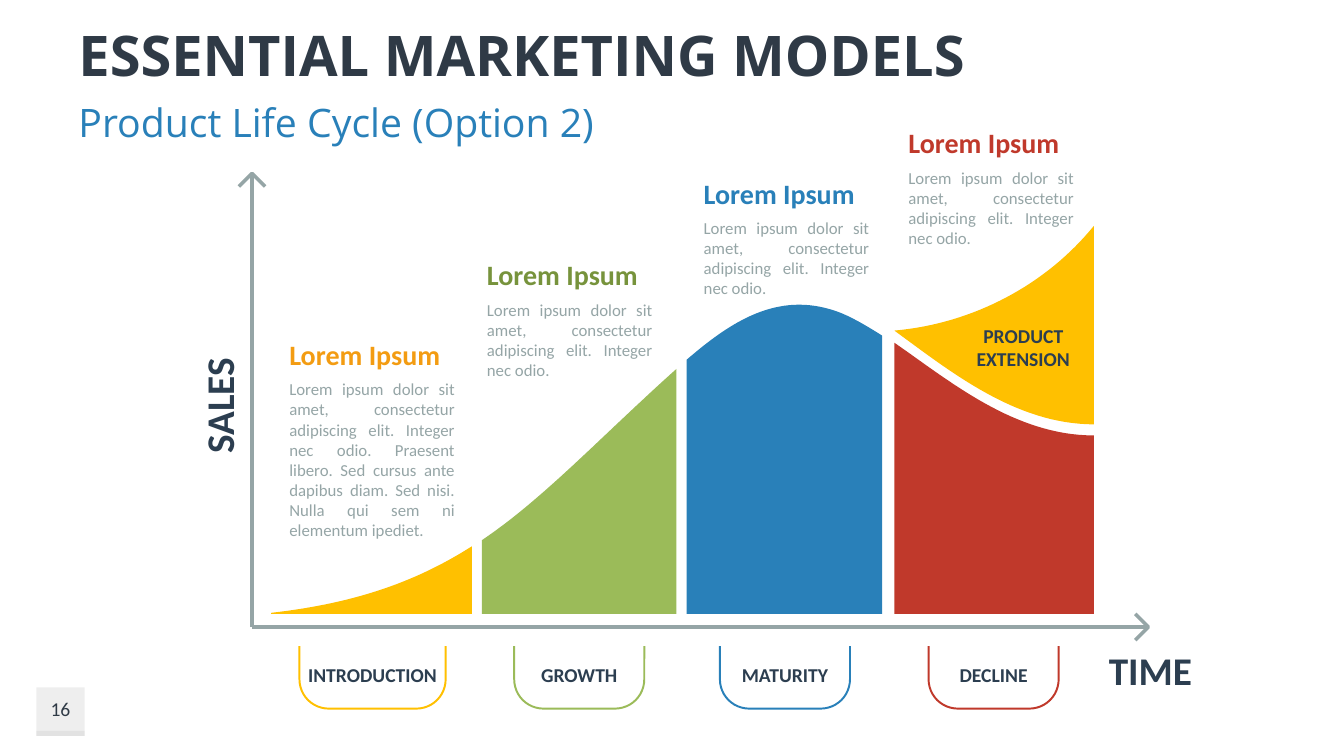
from collections import namedtuple
from math import cos, pi, sin

from lxml.etree import SubElement
from pptx import Presentation
from pptx.dml.color import RGBColor
from pptx.enum.shapes import MSO_CONNECTOR as Connector, MSO_SHAPE as Preset
from pptx.enum.text import MSO_ANCHOR as Anchor, PP_ALIGN as Align
from pptx.oxml.ns import qn
from pptx.util import Inches, Pt

Box = namedtuple("Box", "left top width height")
Stage = namedtuple("Stage", "name color heading_color edges bracket callout text")

COLORS = {
    "title": "2F3A46", "label": "2C3E50", "gray": "95A5A6", "badge": "BFBFBF",
    "yellow": "FFC000", "orange": "F39C12", "green": "9BBB59", "olive": "77933C",
    "blue": "2980B9", "red": "C0392B",
}
SHORT = "Lorem ipsum dolor sit amet, consectetur adipiscing elit. Integer nec odio."
LONG = (SHORT + " Praesent libero. Sed cursus ante dapibus diam. Sed nisi."
        " Nulla qui sem ni elementum ipediet.")
BASE = 0.13
AXIS_WIDTH = 2.5

STAGES = [
    Stage("INTRODUCTION", "yellow", "orange",
          [[(0.19, 0.14), (1.07, 0.24), (1.66, 0.47), (2.18, 0.8)]],
          Box(2.97, 6.41, 1.45, 0.62), Box(2.87, 3.29, 1.74, 2.14), LONG),
    Stage("GROWTH", "green", "olive",
          [[(2.28, 0.86), (2.9, 1.28), (3.42, 1.85), (4.21, 2.56)]],
          Box(5.1, 6.41, 1.29, 0.62), Box(4.83, 2.5, 1.74, 1.33), SHORT),
    Stage("MATURITY", "blue", "blue",
          [[(4.31, 2.65), (4.74, 3.02), (5.21, 3.34), (5.8, 3.13)],
           [(5.8, 3.13), (5.94, 3.08), (6.09, 2.99), (6.25, 2.89)]],
          Box(7.14, 6.41, 1.29, 0.62), Box(6.98, 1.69, 1.74, 1.33), SHORT),
    Stage("DECLINE", "red", "red",
          [[(6.37, 2.82), (6.92, 2.44), (7.56, 1.9), (8.35, 1.9)]],
          Box(9.21, 6.41, 1.29, 0.62), Box(9.01, 1.19, 1.74, 1.33), SHORT),
]
EXTENSION = [
    [(6.37, 2.94), (6.92, 2.54), (7.57, 2.01), (8.35, 2.01)],
    [(8.35, 3.98), (7.88, 3.4), (7.16, 3.01), (6.37, 2.94)],
]


def color_of(name):
    return RGBColor.from_string(COLORS[name])


def add_text(page, box, lines, size, color, font="Calibri", bold=False,
             align=Align.LEFT, anchor=Anchor.TOP, wrap=True, inset=0.1):
    shape = page.shapes.add_textbox(*map(Inches, box))
    frame = shape.text_frame
    frame.word_wrap = wrap
    frame.vertical_anchor = anchor
    frame.margin_left = Inches(inset)
    para = frame.paragraphs[0]
    para.alignment = align
    for index, line in enumerate(lines):
        if index:
            para.add_line_break()
        span = para.add_run()
        span.text = line
        span.font.name = font
        span.font.size = Pt(size)
        span.font.bold = bold
        span.font.color.rgb = color_of(color)
    return shape


def add_label(page, box, lines, size=14):
    return add_text(page, box, lines, size, "label", bold=True,
                    align=Align.CENTER, wrap=False)


def add_outline(page, points, closed):
    first, *rest = [(Inches(x), Inches(y)) for x, y in points]
    builder = page.shapes.build_freeform(*first)
    builder.add_line_segments(rest, close=closed)
    shape = builder.convert_to_shape()
    shape.shadow.inherit = False
    return shape


def add_area(page, points, color):
    shape = add_outline(page, points, True)
    shape.fill.solid()
    shape.fill.fore_color.rgb = color_of(color)
    shape.line.fill.background()


def add_stroke(page, points, color, width):
    shape = add_outline(page, points, False)
    shape.fill.background()
    shape.line.color.rgb = color_of(color)
    shape.line.width = Pt(width)


def curve(controls, steps=32):
    points = []
    for step in range(steps + 1):
        t = step / steps
        level = controls
        while len(level) > 1:
            level = [(a + (c - a) * t, b + (d - b) * t)
                     for (a, b), (c, d) in zip(level, level[1:])]
        points.append(level[0])
    return points


def add_header(page, box):
    add_text(page, Box(box.left, box.top, box.width, 0.77),
             ["ESSENTIAL MARKETING MODELS"], 40, "title", "Open Sans", True,
             anchor=Anchor.MIDDLE)
    add_text(page, Box(box.left, box.top + 0.78, box.width, 0.57),
             ["Product Life Cycle (Option 2)"], 28, "blue", "Open Sans")


def add_page_number(page, box):
    strip = 0.05
    bottom = box.top + box.height - strip
    for part in (box, Box(box.left, bottom, box.width, strip)):
        shape = page.shapes.add_shape(Preset.RECTANGLE, *map(Inches, part))
        shape.shadow.inherit = False
        shape.fill.solid()
        shape.fill.fore_color.rgb = color_of("badge")
        shape.line.fill.background()
        tint = shape._element.spPr.find(".//" + qn("a:srgbClr"))
        SubElement(tint, qn("a:alpha"), val="25000")
    add_text(page, box._replace(height=box.height - strip), ["16"], 14, "title",
             align=Align.CENTER, anchor=Anchor.MIDDLE)


def add_axes(page, box):
    floor, right = box.top + box.height, box.left + box.width
    reach = 0.13
    for end in ((box.left, box.top), (right, floor)):
        axis = page.shapes.add_connector(
            Connector.STRAIGHT, *map(Inches, (box.left, floor, *end)))
        axis.line.color.rgb = color_of("gray")
        axis.line.width = Pt(AXIS_WIDTH)
        SubElement(axis._element.spPr, qn("a:effectLst"))
    up = [(box.left - reach, box.top + reach), (box.left, box.top),
          (box.left + reach, box.top + reach)]
    across = [(right - reach, floor - reach), (right, floor),
              (right - reach, floor + reach)]
    for head in (up, across):
        add_stroke(page, head, "gray", AXIS_WIDTH)
    sales = add_label(page, Box(box.left - 0.91, box.top + 2.02, 1.16, 0.57),
                      ["SALES"], 28)
    sales.rotation = 270
    add_label(page, Box(right - 0.5, floor + 0.14, 1.04, 0.57), ["TIME"], 28)


def add_areas(page, box):
    floor = box.top + box.height

    def place(points):
        return [(box.left + x, floor - y) for x, y in points]

    extension = [point for edge in EXTENSION for point in curve(edge)]
    add_area(page, place(extension), "yellow")
    for stage in STAGES:
        top = [point for edge in stage.edges for point in curve(edge)]
        corners = [(top[-1][0], BASE), (top[0][0], BASE)]
        add_area(page, place(top + corners), stage.color)
    add_label(page, Box(box.left + 7.07, box.top + 1.44, 1.16, 0.57),
              ["PRODUCT", "EXTENSION"])


def add_bracket(page, box, name, color):
    radius, overhang = 0.29, 0.15
    right, bottom = box.left + box.width, box.top + box.height
    turns = [step * pi / 24 for step in range(13)]
    left_arc = [(box.left + radius * (1 - cos(turn)),
                 bottom - radius * (1 - sin(turn))) for turn in turns]
    right_arc = [(box.left + right - x, y) for x, y in reversed(left_arc)]
    add_stroke(page, [(box.left, box.top), *left_arc, *right_arc, (right, box.top)],
               color, 1.4)
    add_label(page, Box(box.left - overhang, box.top + 0.12,
                        box.width + 2 * overhang, 0.34), [name])


def add_callout(page, box, text, color):
    add_text(page, box._replace(height=0.44), ["Lorem Ipsum"], 20, color,
             bold=True, anchor=Anchor.BOTTOM, inset=0)
    add_text(page, Box(box.left, box.top + 0.42, box.width, box.height - 0.42),
             [text], 12, "gray", align=Align.JUSTIFY, inset=0)


def main():
    deck = Presentation()
    deck.slide_width, deck.slide_height = Inches(13.33), Inches(7.5)
    page = deck.slides.add_slide(deck.slide_layouts[6])
    chart = Box(2.5, 1.72, 8.89, 4.5)
    add_page_number(page, Box(0.36, 6.82, 0.48, 0.48))
    add_header(page, Box(0.68, 0.15, 10.72, 1.34))
    add_areas(page, chart)
    add_axes(page, chart)
    for stage in STAGES:
        add_bracket(page, stage.bracket, stage.name, stage.color)
        add_callout(page, stage.callout, stage.text, stage.heading_color)
    deck.save("out.pptx")


if __name__ == "__main__":
    main()
